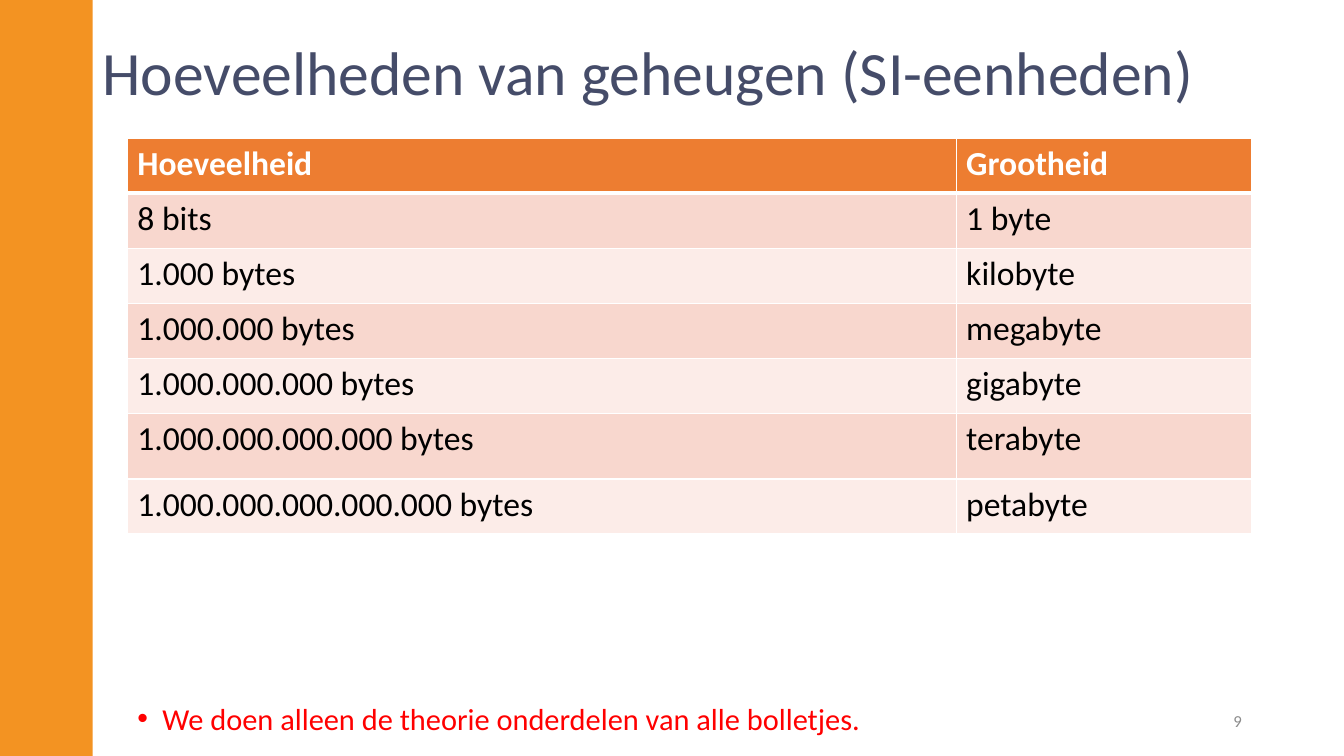
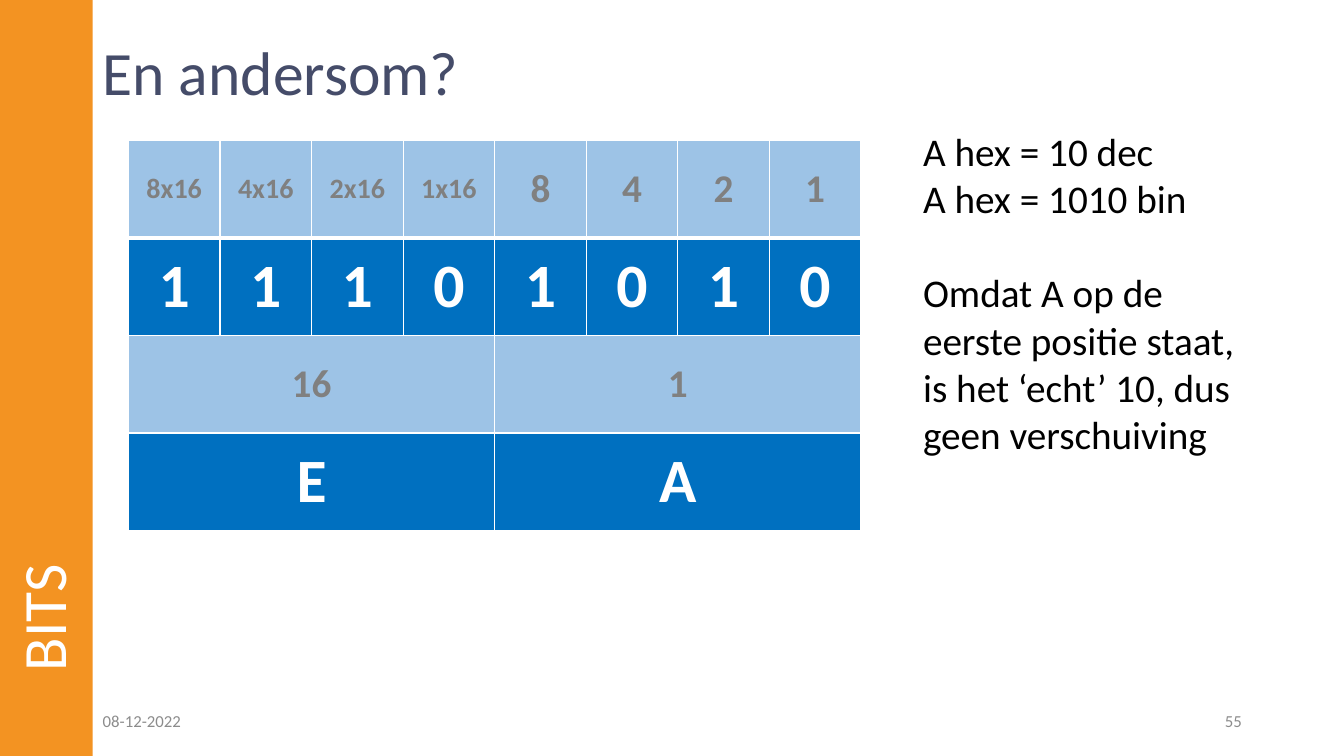
"""Build two slides about memory units and binary to hexadecimal conversion."""
from dataclasses import dataclass, field
from typing import Any

import lxml.etree
import pptx
import pptx.dml.color
import pptx.enum.shapes
import pptx.enum.text
import pptx.oxml.ns
import pptx.util

Pt = pptx.util.Pt
RGB = pptx.dml.color.RGBColor.from_string
ALIGN = pptx.enum.text.PP_ALIGN
ANCHOR = pptx.enum.text.MSO_ANCHOR
qn = pptx.oxml.ns.qn


@dataclass(frozen=True)
class Theme:
    font: str = "Calibri"
    band: str = "F39322"
    title: str = "454C69"
    footer: str = "8C8C8C"
    text: str = "000000"
    white: str = "FFFFFF"
    note: str = "FF0000"
    header: str = "ED7D31"
    stripes: tuple[str, str] = ("F8D7CE", "FCECE8")
    weight_fill: str = "9DC3E6"
    weight_text: str = "808080"
    digit_fill: str = "0070C0"
    title_size: float = 44
    body_size: float = 28
    cell_size: float = 24
    note_size: float = 21.7
    small_size: float = 20
    footer_size: float = 12


T = Theme()
WIDTH, HEIGHT = 960, 540
BAND = 66.24


@dataclass(frozen=True)
class Label:
    lines: tuple[str, ...]
    box: tuple[float, float, float, float]
    size: float
    color: str
    anchor: Any = ANCHOR.MIDDLE
    para: dict[str, Any] = field(default_factory=dict)
    rotation: float = 0
    bullet: bool = False
    gaps: dict[int, float] = field(default_factory=dict)


@dataclass(frozen=True)
class Cell:
    text: str
    fill: str
    size: float
    color: str
    bold: bool = False
    span: int = 1


@dataclass(frozen=True)
class Grid:
    left: float
    top: float
    widths: list[float]
    heights: list[float]
    rows: list[list[Cell]]
    align: Any = ALIGN.LEFT
    anchor: Any = ANCHOR.TOP


def apply(target: Any, values: dict[str, Any]) -> None:
    for name, value in values.items():
        setattr(target, name, value)


def style_font(font: Any, size: float, color: str, bold: bool = False) -> None:
    apply(font, {"name": T.font, "size": Pt(size), "bold": bold})
    font.color.rgb = RGB(color)


def add_bullet(p: Any, indent: float) -> None:
    pPr = p._p.get_or_add_pPr()
    pPr.set("marL", str(Pt(indent)))
    pPr.set("indent", str(-Pt(indent)))
    lxml.etree.SubElement(pPr, qn("a:buFont"), typeface="Arial")
    lxml.etree.SubElement(pPr, qn("a:buChar"), char="•")


def add_label(s: Any, label: Label) -> None:
    sp = s.shapes.add_textbox(*map(Pt, label.box))
    sp.rotation = label.rotation
    tf = sp.text_frame
    apply(tf, {"word_wrap": True, "vertical_anchor": label.anchor})
    for i, line in enumerate(label.lines):
        p = tf.paragraphs[0] if i == 0 else tf.add_paragraph()
        if label.bullet:
            add_bullet(p, 18)
        apply(p, label.para)
        if i in label.gaps:
            p.space_before = Pt(label.gaps[i])
        r = p.add_run()
        r.text = line
        style_font(r.font, label.size, label.color)


def add_borders(cell: Any, top: float, bottom: float) -> None:
    tcPr = cell._tc.get_or_add_tcPr()
    for side, width in {"L": 1, "R": 1, "T": top, "B": bottom}.items():
        ln = lxml.etree.SubElement(tcPr, qn(f"a:ln{side}"), w=str(Pt(width)))
        fill = lxml.etree.SubElement(ln, qn("a:solidFill"))
        lxml.etree.SubElement(fill, qn("a:srgbClr"), val=T.white)


def add_grid(s: Any, grid: Grid) -> None:
    size = len(grid.heights), len(grid.widths)
    frame = s.shapes.add_table(*size, Pt(grid.left), Pt(grid.top),
                               Pt(sum(grid.widths)), Pt(sum(grid.heights)))
    table = frame.table
    apply(table, {"first_row": False, "horz_banding": False})
    for column, width in zip(table.columns, grid.widths):
        column.width = Pt(width)
    for i, (row, height) in enumerate(zip(grid.rows, grid.heights)):
        table.rows[i].height = Pt(height)
        j = 0
        for item in row:
            for k in range(j, j + item.span):
                cell = table.cell(i, k)
                add_borders(cell, 3 if i == 1 else 1, 3 if i == 0 else 1)
                cell.fill.solid()
                cell.fill.fore_color.rgb = RGB(item.fill)
            cell = table.cell(i, j)
            if item.span > 1:
                cell.merge(table.cell(i, j + item.span - 1))
            cell.vertical_anchor = grid.anchor
            p = cell.text_frame.paragraphs[0]
            p.alignment = grid.align
            r = p.add_run()
            r.text = item.text
            style_font(r.font, item.size, item.color, item.bold)
            j += item.span


def add_base(prs: Any, title: str, number: str) -> Any:
    s = prs.slides.add_slide(prs.slide_layouts[6])
    sp = s.shapes.add_shape(pptx.enum.shapes.MSO_SHAPE.RECTANGLE,
                            0, 0, Pt(BAND), Pt(HEIGHT))
    sp.shadow.inherit = False
    sp.fill.solid()
    sp.fill.fore_color.rgb = RGB(T.band)
    sp.line.fill.background()
    add_label(s, Label((title,), (BAND, 23, 828, 62), T.title_size, T.title,
                       para={"line_spacing": 0.9}))
    add_label(s, Label((number,), (678.24, 500.5, 216, 28.75), T.footer_size,
                       T.footer, para={"alignment": ALIGN.RIGHT}))
    return s


def build_units(prs: Any) -> None:
    s = add_base(prs, "Hoeveelheden van geheugen (SI-eenheden)", "9")
    amounts = ["8 bits"] + ["1" + ".000" * n + " bytes" for n in range(1, 6)]
    units = ["1 byte", "kilobyte", "megabyte", "gigabyte", "terabyte", "petabyte"]
    rows = [[Cell(text, T.header, T.cell_size, T.white, True)
             for text in ("Hoeveelheid", "Grootheid")]]
    rows += [[Cell(text, T.stripes[i % 2], T.cell_size, T.text) for text in pair]
             for i, pair in enumerate(zip(amounts, units))]
    add_grid(s, Grid(91, 98.75, [592, 211], [39.3] * 5 + [47, 39.3], rows))
    add_label(s, Label(("We doen alleen de theorie onderdelen van alle bolletjes.",),
                       (91, 504, 828, 27.5), T.note_size, T.note, ANCHOR.TOP,
                       {"line_spacing": 0.7}, bullet=True))


def build_reverse(prs: Any) -> None:
    s = add_base(prs, "En andersom?", "55")
    add_label(s, Label(("08-12-2022",), (BAND, 500.5, 216, 28.75),
                       T.footer_size, T.footer))
    length = 486.5
    add_label(s, Label(("BITS",), ((BAND - length) / 2, (length - BAND) / 2, length, BAND),
                       T.title_size, T.white, para={"line_spacing": 0.9}, rotation=270))

    def weight(text: str, size: float = T.body_size, span: int = 1) -> Cell:
        return Cell(text, T.weight_fill, size, T.weight_text, True, span)

    def digit(text: str, span: int = 1) -> Cell:
        return Cell(text, T.digit_fill, T.title_size, T.white, True, span)

    powers = ["8", "4", "2", "1"]
    rows = [
        [weight(f"{n}x16", T.small_size) for n in powers] + [weight(n) for n in powers],
        [digit(bit) for bit in "11101010"],
        [weight(text, span=4) for text in ("16", "1")],
        [digit(text, 4) for text in "EA"],
    ]
    add_grid(s, Grid(91.75, 100.25, [65.4] * 8, [69.7] * 4, rows,
                     ALIGN.CENTER, ANCHOR.MIDDLE))
    add_label(s, Label(("A hex = 10 dec", "A hex = 1010 bin",
                        "Omdat A op de eerste positie staat, is het ‘echt’ 10, "
                        "dus geen verschuiving"),
                       (652.25, 87.25, 254.25, 244.75), T.body_size, T.text,
                       ANCHOR.TOP, gaps={2: 34}))


def main() -> None:
    prs = pptx.Presentation()
    apply(prs, {"slide_width": Pt(WIDTH), "slide_height": Pt(HEIGHT)})
    build_units(prs)
    build_reverse(prs)
    prs.save("out.pptx")


if __name__ == "__main__":
    main()
